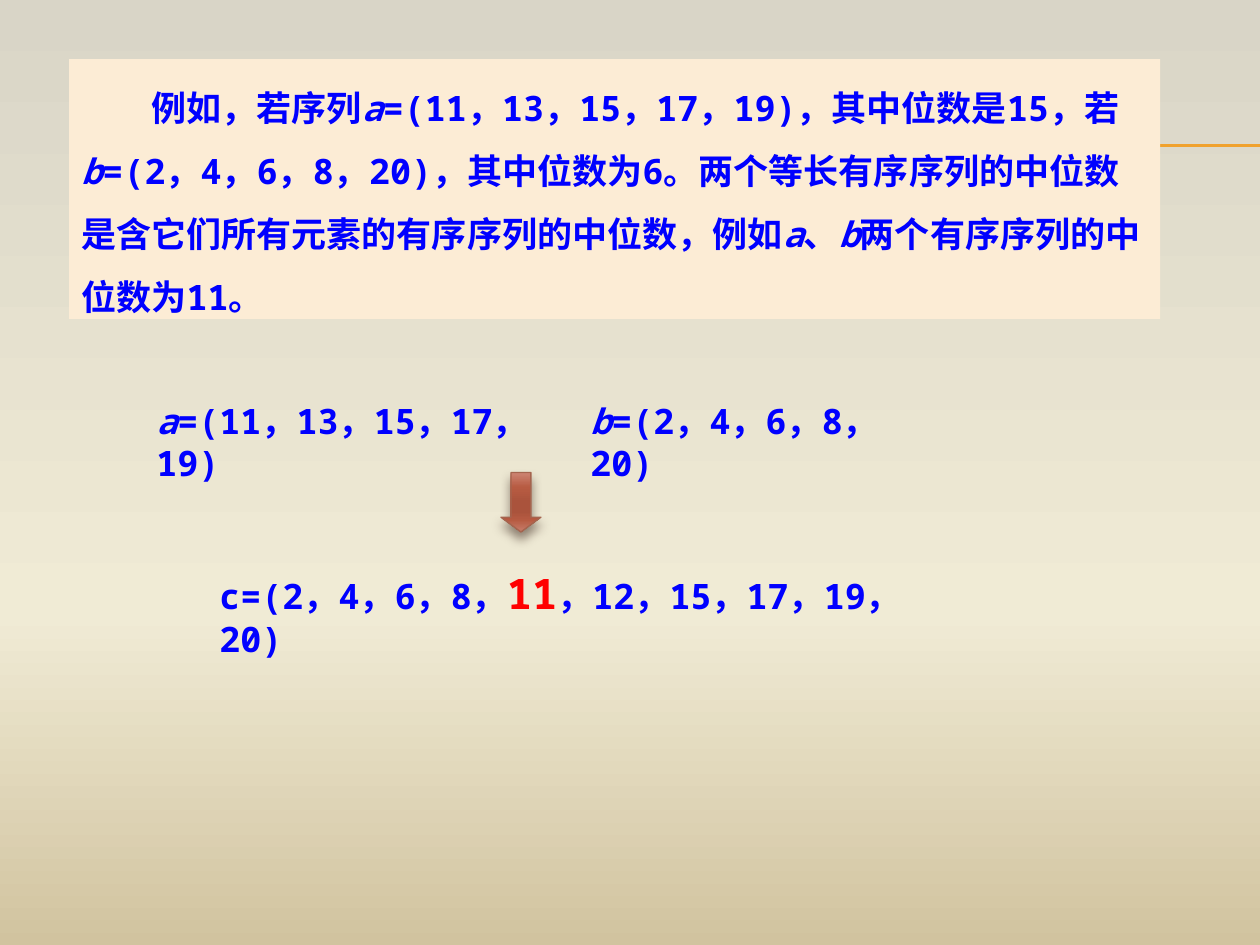
from lxml.etree import SubElement as Sub
from pptx import Presentation
from pptx.dml.color import RGBColor
from pptx.enum.lang import MSO_LANGUAGE_ID as Lang
from pptx.enum.shapes import MSO_CONNECTOR as Conn, MSO_SHAPE as Geo
from pptx.enum.text import MSO_ANCHOR as Anchor, MSO_AUTO_SIZE as Auto, PP_ALIGN as Align
from pptx.oxml.ns import qn
from pptx.util import Pt

BASE = {"size": Pt(20), "name": "Noto Sans Mono", "bold": True,
        "italic": False, "language_id": Lang.SIMPLIFIED_CHINESE}
BLUE, RED = "0000FF", "FF0000"


def color(code):
    return RGBColor.from_string(code)


def put(item, vals):
    for key, val in vals.items():
        setattr(item, key, val)


def blend(fill, props, stops):
    """Fill from top to bottom with (percent, colour) stops."""
    fill.gradient()
    fill.gradient_angle = 270
    group = props.find(".//" + qn("a:gsLst"))
    for old in list(group):
        group.remove(old)
    for pos, code in stops:
        stop = Sub(group, qn("a:gs"), pos=str(pos * 1000))
        Sub(stop, qn("a:srgbClr"), val=code)


def rule(slide, x1, x2, y):
    line = slide.shapes.add_connector(Conn.STRAIGHT, Pt(x1), Pt(y), Pt(x2), Pt(y))
    line.line.color.rgb = color("F0A22E")
    line.line.width = Pt(0.75)
    Sub(line._element.spPr, qn("a:effectLst"))


def write(shape, runs, lead=None, indent=0):
    """Write runs of (text, special format, colour) into a shape."""
    frame = shape.text_frame
    put(frame, {"word_wrap": True, "auto_size": Auto.SHAPE_TO_FIT_TEXT,
                "vertical_anchor": Anchor.TOP})
    para = frame.paragraphs[0]
    put(para, {"alignment": Align.LEFT, "line_spacing": lead})
    if indent:
        para._p.get_or_add_pPr().set("indent", str(Pt(indent)))
    for text, form, code in runs:
        run = para.add_run()
        run.text = text
        put(run.font, BASE | form)
        run.font.color.rgb = color(code)


def plain(text):
    return text, {}, BLUE


def var(text):
    return text, {"italic": True}, BLUE


def label(slide, box, runs):
    write(slide.shapes.add_textbox(*map(Pt, box)), runs)


def panel(slide, box, runs):
    shape = slide.shapes.add_shape(Geo.RECTANGLE, *map(Pt, box))
    shape.shadow.inherit = False
    shape.fill.solid()
    shape.fill.fore_color.rgb = color("FCECD5")
    shape.line.fill.background()
    write(shape, runs, lead=1.5, indent=40)


def arrow(slide, box):
    shape = slide.shapes.add_shape(Geo.DOWN_ARROW, *map(Pt, box))
    shape.adjustments[0] = 0.5
    shape.adjustments[1] = 0.37
    props = shape._element.spPr
    blend(shape.fill, props, [(0, "CD8473"), (25, "B75B42"), (50, "AA533C"),
                              (65, "AA533C"), (80, "B65B42"), (100, "C77D6B")])
    shape.line.color.rgb = color("A5644E")
    shape.line.width = Pt(0.79)
    # Soft shadow straight below
    shape.shadow.inherit = False
    glow = Sub(props.find(qn("a:effectLst")), qn("a:outerShdw"),
               blurRad=str(Pt(6)), dist=str(Pt(4)), dir="5400000", rotWithShape="0")
    tint = Sub(glow, qn("a:srgbClr"), val="4E3B30")
    Sub(tint, qn("a:alpha"), val="60000")


def main():
    deck = Presentation()
    put(deck, {"slide_width": Pt(720), "slide_height": Pt(540)})
    slide = deck.slides.add_slide(deck.slide_layouts[6])

    # Background and double rule
    blend(slide.background.fill, slide._element.cSld,
          [(0, "D9D5C7"), (65, "F0EBD5"), (100, "D1C39F")])
    for y in (82.8, 83.5):
        rule(slide, 40, 720, y)

    # Explanation
    panel(slide, (39.5, 33.8, 623.5, 148.5), [
        plain("例如，若序列"), var("a"),
        plain("=(11，13，15，17，19)，其中位数是15，若"), var("b"),
        plain("=(2，4，6，8，20)，其中位数为6。两个等长有序序列的中位数是"
              "含它们所有元素的有序序列的中位数，例如"),
        var("a"), plain("、"), var("b"),
        plain("两个有序序列的中位数为11。")])

    # Two sequences and their merged result
    label(slide, (82.3, 224.6, 238.5, 31.5), [var("a"), plain("=(11，13，15，17，19)")])
    label(slide, (330.3, 224.6, 204.5, 31.5), [var("b"), plain("=(2，4，6，8，20)")])
    arrow(slide, (286.3, 270, 22.8, 34))
    label(slide, (118.3, 320.6, 427.5, 36), [
        plain("c=(2，4，6，8，"), ("11", {"size": Pt(24)}, RED),
        plain("，12，15，17，19，20)")])

    deck.save("out.pptx")


if __name__ == "__main__":
    main()
